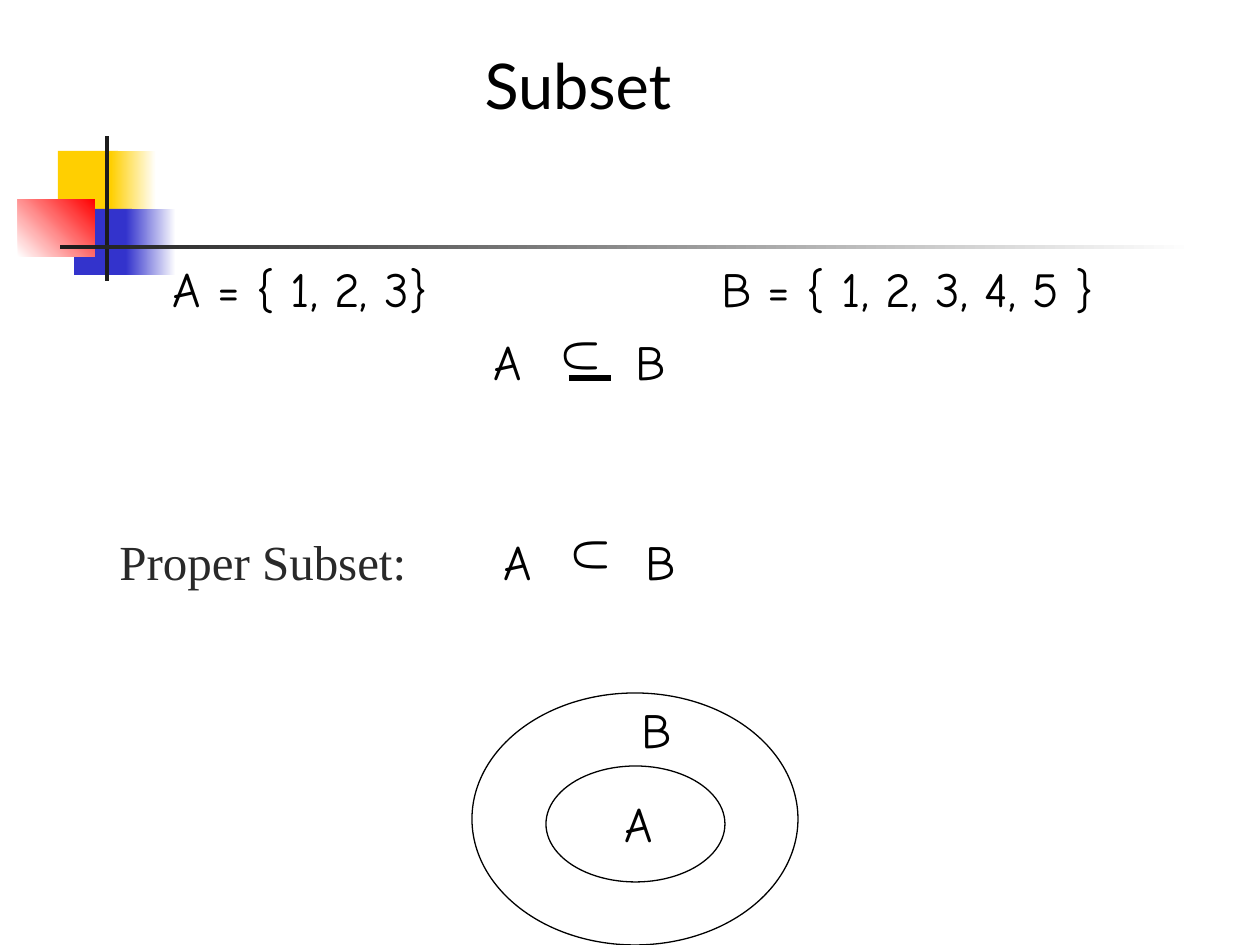
from lxml import etree
from pptx import Presentation
from pptx.dml.color import RGBColor
from pptx.enum.shapes import MSO_CONNECTOR, MSO_SHAPE
from pptx.enum.text import MSO_ANCHOR, PP_ALIGN
from pptx.oxml.ns import qn
from pptx.util import Pt

RECTANGLE, OVAL = MSO_SHAPE.RECTANGLE, MSO_SHAPE.OVAL
STRAIGHT = MSO_CONNECTOR.STRAIGHT
MIDDLE, TOP = MSO_ANCHOR.MIDDLE, MSO_ANCHOR.TOP
CENTER = PP_ALIGN.CENTER
EMU_PER_INCH, PX_PER_INCH = 914400, 126
BLACK, WHITE, GRAY = "000000", "FFFFFF", "292929"
YELLOW, BLUE, RED, CHARCOAL = "FFCF01", "3333CC", "FF0000", "1C1C1C"
HAND, SERIF, SANS = "Comic Neue", "Times New Roman", "Lato"
LINE_HEIGHT = 72


def px(length):
    """Turn whole px into EMU."""
    return round(length * EMU_PER_INCH / PX_PER_INCH)


def color(value):
    """Turn a hex string into a colour."""
    return RGBColor.from_string(value)


def set_values(target, values):
    """Set each named attribute of the target."""
    for name, value in values.items():
        setattr(target, name, value)


def style_font(para, name, size, ink):
    """Give a paragraph its font."""
    for span in para.runs:
        set_values(span.font, {"name": name, "size": Pt(size)})
        span.font.color.rgb = color(ink)


def add_title(page, text, frame):
    """Place and format the title placeholder."""
    title = page.shapes.title
    set_values(title, dict(zip(("left", "top", "width", "height"), map(px, frame))))
    title.text_frame.text = text
    set_values(title.text_frame, {"vertical_anchor": MIDDLE, "word_wrap": True})
    para = title.text_frame.paragraphs[0]
    para.alignment = CENTER
    style_font(para, SANS, 36, BLACK)


def add_text(page, text, left, top, width, tab=None, name=HAND, ink=BLACK, rotation=0):
    """Add one line of text, with an optional tab stop."""
    box = page.shapes.add_textbox(px(left), px(top), px(width), px(LINE_HEIGHT))
    box.rotation = rotation
    set_values(box.text_frame, {"word_wrap": True, "margin_right": 0, "vertical_anchor": TOP})
    para = box.text_frame.paragraphs[0]
    if tab:
        stops = etree.SubElement(para._p.get_or_add_pPr(), qn("a:tabLst"))
        etree.SubElement(stops, qn("a:tab"), pos=str(px(tab)), algn="l")
    para.add_run().text = text
    style_font(para, name, 28, ink)


def add_block(page, frame, start, end=None, angle=0):
    """Add a borderless rectangle with a solid or gradient fill."""
    block = page.shapes.add_shape(RECTANGLE, *map(px, frame))
    block.shadow.inherit = False
    block.line.fill.background()
    if end is None:
        block.fill.solid()
        block.fill.fore_color.rgb = color(start)
        return
    block.fill.gradient()
    block.fill.gradient_angle = angle
    for stop, value in zip(block.fill.gradient_stops, (start, end)):
        stop.color.rgb = color(value)


def add_ellipse(page, frame):
    """Add an outlined ellipse."""
    ellipse = page.shapes.add_shape(OVAL, *map(px, frame))
    ellipse.shadow.inherit = False
    ellipse.fill.background()
    ellipse.line.color.rgb = color(BLACK)
    ellipse.line.width = Pt(0.75)


def add_rule(page, left, right, top):
    """Add a thick horizontal line."""
    rule = page.shapes.add_connector(STRAIGHT, px(left), px(top), px(right), px(top))
    rule.line.color.rgb = color(BLACK)
    rule.line.width = Pt(3)
    etree.SubElement(rule._element.spPr, qn("a:effectLst"))


def add_relation(page, left, top, symbol_top):
    """Add A and B with a turned U as the subset sign between them."""
    add_text(page, "A\tB", left, top, 198, tab=142)
    add_text(page, "U", left + 73, symbol_top, 59, rotation=90)


def add_ornament(page):
    """Add the coloured blocks and bars beside the title."""
    add_block(page, (58, 151, 60, 66), YELLOW)
    add_block(page, (111, 151, 45, 66), YELLOW, WHITE)
    add_block(page, (74, 209, 58, 66), BLUE)
    add_block(page, (126, 209, 50, 66), BLUE, WHITE)
    add_block(page, (18, 199, 77, 58), WHITE, RED, 45)
    add_block(page, (105, 136, 4, 145), CHARCOAL)
    add_block(page, (60, 245, 1134, 4), CHARCOAL, WHITE)


def main():
    """Build the subset slide."""
    deck = Presentation()
    set_values(deck, {"slide_width": px(1260), "slide_height": px(945)})
    page = deck.slides.add_slide(deck.slide_layouts[5])
    add_ornament(page)
    add_title(page, "Subset", (465, 40, 226, 88))
    add_text(page, "A = { 1, 2, 3}\tB = { 1, 2, 3, 4, 5 }", 160, 252, 946, tab=549)
    add_relation(page, 481, 325, 321)
    add_rule(page, 569, 611, 378)
    add_text(page, "Proper Subset:", 107, 525, 311, name=SERIF, ink=GRAY)
    add_relation(page, 491, 525, 520)
    add_ellipse(page, (546, 766, 179, 116))
    add_ellipse(page, (472, 693, 326, 252))
    add_text(page, "A", 612, 787, 53)
    add_text(page, "B", 629, 693, 55)
    deck.save("out.pptx")


if __name__ == "__main__":
    main()
